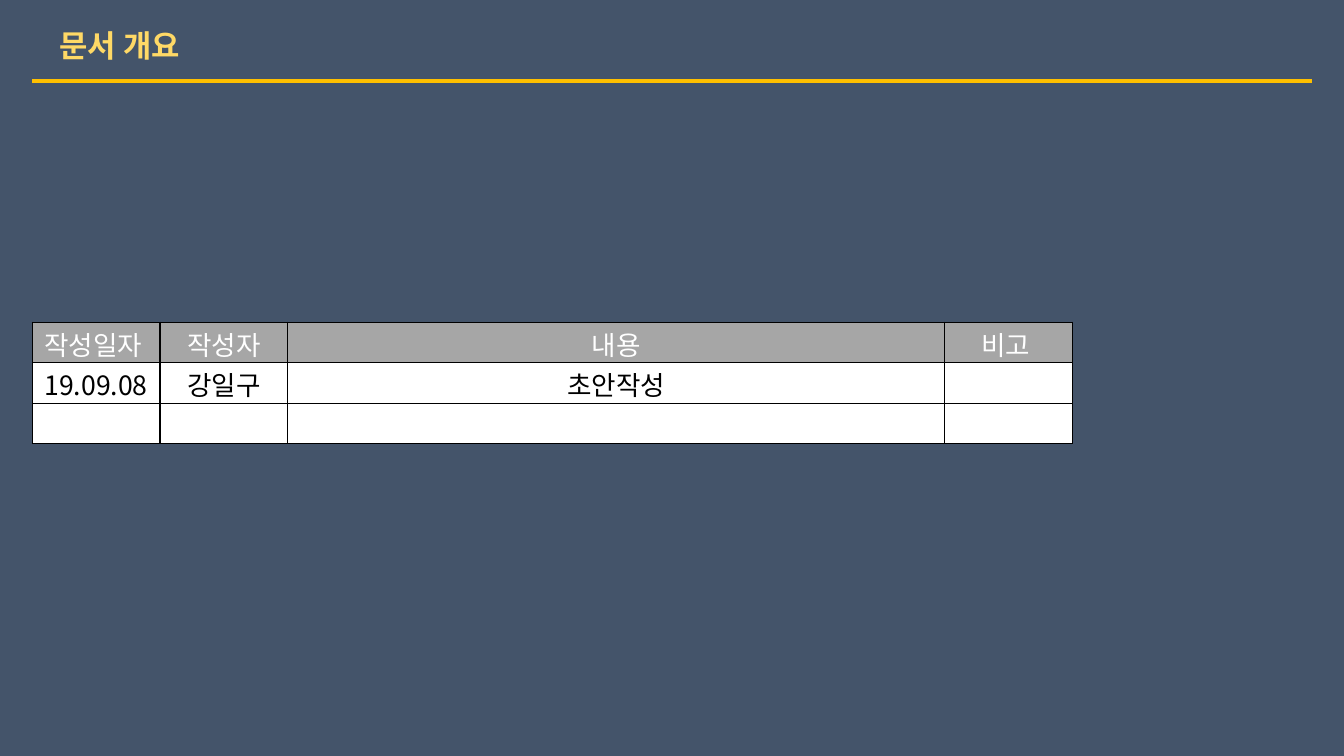
from lxml import etree
from pptx import Presentation, util as u
from pptx.dml.color import RGBColor
from pptx.enum import shapes, text
from pptx.oxml import parse_xml
from pptx.oxml.ns import nsdecls, qn

COLORS = {
    "background": "44546A", "title": "FFD966", "rule": "FFC000",
    "header": "A6A6A6", "white": "FFFFFF", "black": "000000",
}


class SlideBuilder:
    """Hold the document style and the current slide."""

    font = "Noto Sans CJK KR"

    def __init__(self, presentation):
        self.slide = presentation.slides.add_slide(presentation.slide_layouts[5])
        fill = self.slide.background.fill
        fill.solid()
        fill.fore_color.rgb = self.color("background")

    def color(self, name):
        return RGBColor.from_string(COLORS[name])

    def format_runs(self, paragraph, size, color, bold=False):
        for run in paragraph.runs:
            run.font.size = u.Pt(size)
            run.font.bold = bold
            run.font.name = self.font
            run.font.color.rgb = self.color(color)
            east_asian = etree.SubElement(run.font._element, qn("a:ea"))
            east_asian.set("typeface", self.font)

    def title(self, wording, left, top, width, height):
        shape = self.slide.shapes.title
        shape.left, shape.top = u.Pt(left), u.Pt(top)
        shape.width, shape.height = u.Pt(width), u.Pt(height)
        frame = shape.text_frame
        frame.text = wording
        frame.word_wrap = False
        frame.auto_size = text.MSO_AUTO_SIZE.NONE
        frame.vertical_anchor = text.MSO_ANCHOR.MIDDLE
        paragraph = frame.paragraphs[0]
        paragraph.alignment = text.PP_ALIGN.LEFT
        self.format_runs(paragraph, 22, "title", bold=True)

    def rule(self, left, right, y):
        line = self.slide.shapes.add_connector(
            shapes.MSO_CONNECTOR.STRAIGHT, u.Pt(left), u.Pt(y), u.Pt(right), u.Pt(y))
        line.line.color.rgb = self.color("rule")
        line.line.width = u.Pt(3)
        etree.SubElement(line._element.spPr, qn("a:effectLst"))

    def borders(self, cell):
        properties = cell._tc.get_or_add_tcPr()
        for index, side in enumerate("LRTB"):
            properties.insert(index, parse_xml(
                f'<a:ln{side} {nsdecls("a")} w="{u.Pt(1)}"><a:solidFill>'
                f'<a:srgbClr val="{COLORS["black"]}"/></a:solidFill></a:ln{side}>'))

    def cell(self, cell, wording, fill, color):
        cell.fill.solid()
        cell.fill.fore_color.rgb = self.color(fill)
        cell.vertical_anchor = text.MSO_ANCHOR.MIDDLE
        cell.margin_left = cell.margin_right = cell.margin_top = u.Pt(1.44)
        cell.margin_bottom = u.Pt(0)
        self.borders(cell)
        if wording:
            cell.text_frame.text = wording
            paragraph = cell.text_frame.paragraphs[0]
            paragraph.alignment = text.PP_ALIGN.CENTER
            self.format_runs(paragraph, 19, color)

    def table(self, rows, left, top, widths, row_height):
        table = self.slide.shapes.add_table(
            len(rows), len(widths), u.Pt(left), u.Pt(top),
            u.Pt(sum(widths)), u.Pt(row_height * len(rows))).table
        table.horz_banding = False
        for column, width in zip(table.columns, widths):
            column.width = u.Pt(width)
        for row_index, row in enumerate(rows):
            table.rows[row_index].height = u.Pt(row_height)
            fill, color = ("white", "black") if row_index else ("header", "white")
            for column_index, wording in enumerate(row):
                self.cell(table.cell(row_index, column_index), wording, fill, color)


def main():
    presentation = Presentation()
    presentation.slide_width, presentation.slide_height = u.Pt(960), u.Pt(540)
    builder = SlideBuilder(presentation)
    history = [
        ["작성일자 ", "작성자", "내용", "비고 "],
        ["19.09.08", "강일구", "초안작성", ""],
        ["", "", "", ""],
    ]
    builder.table(history, 23, 230.2, [91.3, 91.3, 469.2, 91.3], 28.6)
    builder.title("문서 개요", 35.3, 15.1, 110.9, 33.8)
    builder.rule(23, 937.4, 57.6)
    presentation.save("out.pptx")


if __name__ == "__main__":
    main()
